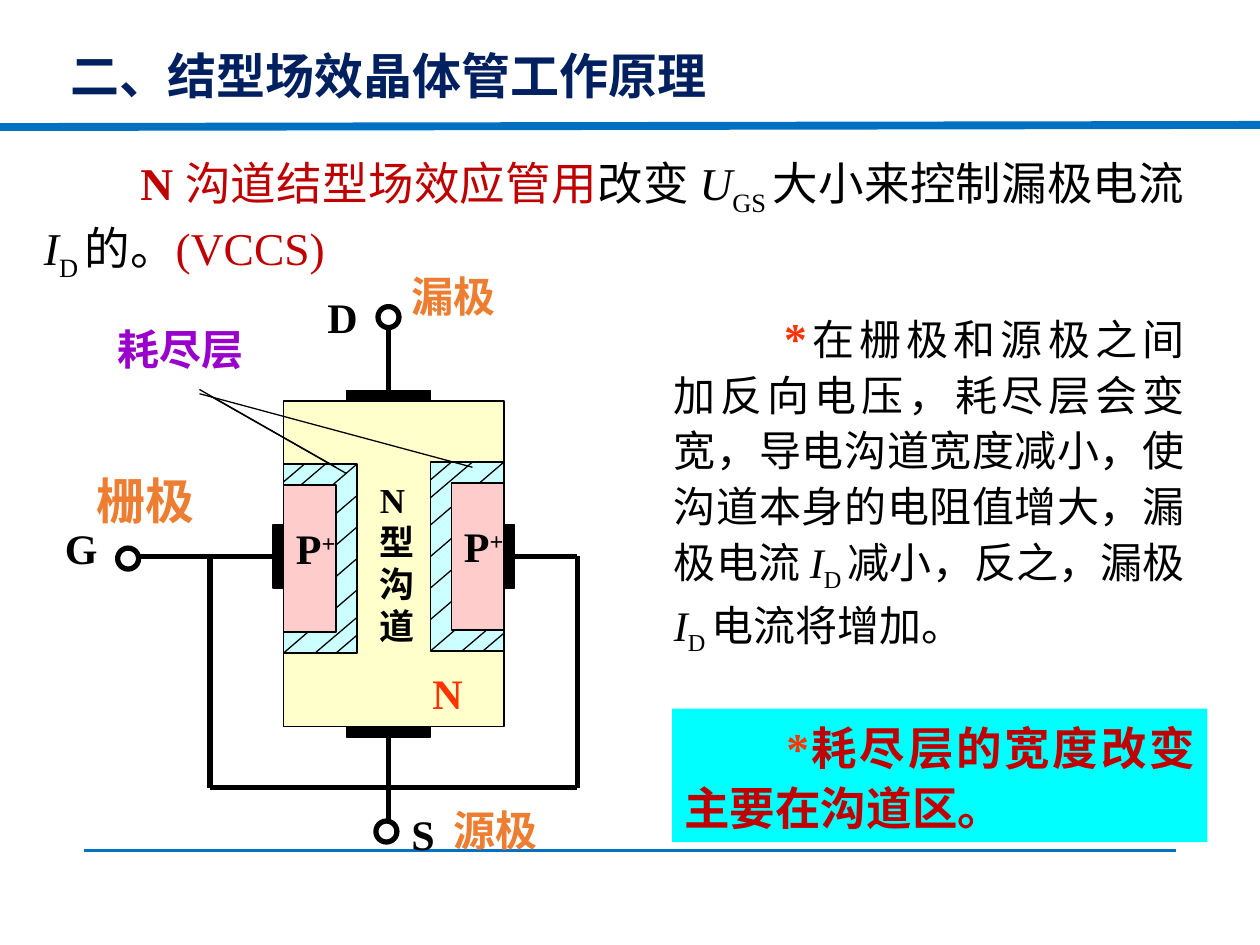
from pptx import Presentation
from pptx.dml.color import RGBColor
from pptx.enum.shapes import MSO_CONNECTOR, MSO_SHAPE
from pptx.enum.text import PP_ALIGN as Align
from pptx.oxml.ns import qn
from pptx.util import Pt
from lxml.etree import SubElement

PX = 7620  # 120 px to the inch

BLACK = RGBColor(0x00, 0x00, 0x00)
WHITE = RGBColor(0xFF, 0xFF, 0xFF)
BLUE = RGBColor(0x00, 0x70, 0xC0)
NAVY = RGBColor(0x00, 0x20, 0x60)
DARK_RED = RGBColor(0xC0, 0x00, 0x00)
RED = RGBColor(0xFF, 0x33, 0x00)
ORANGE = RGBColor(0xED, 0x7D, 0x31)
PURPLE = RGBColor(0x99, 0x00, 0xCC)
CYAN = RGBColor(0x00, 0xFF, 0xFF)
CREAM = RGBColor(0xFF, 0xFF, 0xCC)
PALE_CYAN = RGBColor(0xCC, 0xFF, 0xFF)
PINK = RGBColor(0xFF, 0xCC, 0xCC)

presentation = Presentation()
presentation.slide_width = 1200 * PX
presentation.slide_height = 900 * PX
slide = presentation.slides.add_slide(presentation.slide_layouts[6])


def draw_line(x1, y1, x2, y2, width=0.75, color=BLACK):
    line = slide.shapes.add_connector(
        MSO_CONNECTOR.STRAIGHT, x1 * PX, y1 * PX, x2 * PX, y2 * PX)
    line.line.width = Pt(width)
    line.line.color.rgb = color
    SubElement(line._element.spPr, qn("a:effectLst"))


def draw_shape(kind, left, top, width, height, fill, line_width=0.75):
    shape = slide.shapes.add_shape(
        kind, left * PX, top * PX, width * PX, height * PX)
    shape.shadow.inherit = False
    shape.fill.solid()
    shape.fill.fore_color.rgb = fill
    shape.line.color.rgb = BLACK
    shape.line.width = Pt(line_width)


# Rules above and below the content
draw_line(80, 810, 1120, 810, 1.5, BLUE)
draw_line(0, 121, 1200, 119, 4.5, BLUE)

# Wires
for wire in [
    (130, 530, 550, 530),
    (200, 750, 550, 750),
    (550, 530, 550, 750),
    (200, 530, 200, 750),
    (370, 312, 370, 402),
    (370, 522, 370, 782),
]:
    draw_line(*wire, 3)

# Terminals: gate, drain, source
for left, top in [(112, 522), (360, 292), (358, 782)]:
    draw_shape(MSO_SHAPE.OVAL, left, top, 20, 20, WHITE, 3)

# Electrodes
for electrode in [(260, 500, 10, 60), (480, 500, 10, 60),
                  (330, 372, 80, 10), (330, 692, 80, 10)]:
    draw_shape(MSO_SHAPE.RECTANGLE, *electrode, BLACK)

# N-type body
draw_shape(MSO_SHAPE.RECTANGLE, 270, 382, 210, 310, CREAM)

# Hatched depletion layers with their P+ regions
hatching = [(70, y, 0, y + 60) for y in range(0, 150, 30)]
hatching += [(70, 146, 30, 180), (70, 163, 50, 180),
             (40, 0, 0, 34), (20, 0, 0, 17)]
for left, top, region_left in [(270, 442, 270), (410, 440, 430)]:
    draw_shape(MSO_SHAPE.RECTANGLE, left, top, 70, 180, PALE_CYAN)
    for x1, y1, x2, y2 in hatching:
        draw_line(left + x1, top + y1, left + x2, top + y2)
    draw_shape(MSO_SHAPE.RECTANGLE, region_left, top + 20, 50, 140, PINK)

# Pointers from the depletion layer label
draw_line(190, 371, 320, 445)
draw_line(200, 377, 330, 451)
draw_line(190, 375, 450, 445)

# Short labels: left, top, width, height, text, size, color
labels = [
    (55, 37, 660, 68, "二、结型场效晶体管工作原理", 28, NAVY),
    (50, 492, 60, 60, "G", 24, BLACK),
    (300, 272, 70, 60, "D", 24, BLACK),
    (380, 764, 60, 60, "S", 24, BLACK),
    (400, 630, 70, 60, "N", 24, RED),
    (350, 450, 70, 173, "N型沟道", 20, BLACK),
    (80, 442, 130, 68, "栅极", 28, ORANGE),
    (420, 760, 130, 60, "源极", 24, ORANGE),
    (380, 252, 130, 60, "漏极", 24, ORANGE),
    (100, 302, 180, 60, "耗尽层", 24, PURPLE),
]

# Text boxes: place, fill, first-line indent, line spacing, runs
# Run: text, size, color, style (b bold, i italic, - subscript, + superscript)
boxes = [(place, None, 0, None, [(text, size, color, "b")])
         for *place, text, size, color in labels]
boxes += [((left, top, 90, 60), None, 0, None,
           [("P", 24, BLACK, "b"), ("+", 24, BLACK, "b+")])
          for left, top in [(270, 492), (430, 490)]]
boxes += [
    ((30, 139, 1110, 137), None, 92, 1.05, [
        ("N ", 26, DARK_RED, "b"),
        ("沟道结型场效应管用", 26, DARK_RED, ""),
        ("改变 ", 26, BLACK, ""),
        ("U", 26, BLACK, "i"),
        ("GS ", 26, BLACK, "-"),
        ("大小来控制漏极电流 ", 26, BLACK, ""),
        ("I", 26, BLACK, "i"),
        ("D ", 26, BLACK, "-"),
        ("的。", 26, BLACK, ""),
        ("(VCCS)", 26, DARK_RED, ""),
    ]),
    ((630, 284, 510, 341), None, 105, 1.1, [
        ("*", 26, RED, "b"),
        ("在栅极和源极之间加反向电压，耗尽层会变宽，导电沟道宽度减小，"
         "使沟道本身的电阻值增大，漏极电流 ", 24, BLACK, ""),
        ("I", 24, BLACK, "i"),
        ("D ", 24, BLACK, "-"),
        ("减小，反之，漏极 ", 24, BLACK, ""),
        ("I", 24, BLACK, "i"),
        ("D ", 24, BLACK, "-"),
        ("电流将增加。", 24, BLACK, ""),
    ]),
    ((640, 675, 510, 127), CYAN, 97, 1.1, [
        ("*", 26, RED, "b"),
        ("耗尽层的宽度改变主要在沟道区。", 26, DARK_RED, "b"),
    ]),
]
for place, fill, indent, spacing, runs in boxes:
    box = slide.shapes.add_textbox(*[length * PX for length in place])
    if fill is not None:
        box.fill.solid()
        box.fill.fore_color.rgb = fill
    box.text_frame.word_wrap = True
    paragraph = box.text_frame.paragraphs[0]
    if indent:
        paragraph.alignment = Align.JUSTIFY
        paragraph.line_spacing = spacing
        properties = paragraph._p.get_or_add_pPr()
        properties.set("indent", str(indent * PX))
        properties.set("hangingPunct", "0")
    for text, size, color, style in runs:
        run = paragraph.add_run()
        run.text = text
        run.font.name = "Times New Roman"
        run.font.size = Pt(size)
        run.font.color.rgb = color
        run.font.bold = "b" in style
        run.font.italic = "i" in style
        if "-" in style:
            run._r.get_or_add_rPr().set("baseline", "-25000")
        if "+" in style:
            run._r.get_or_add_rPr().set("baseline", "30000")

presentation.save("out.pptx")
